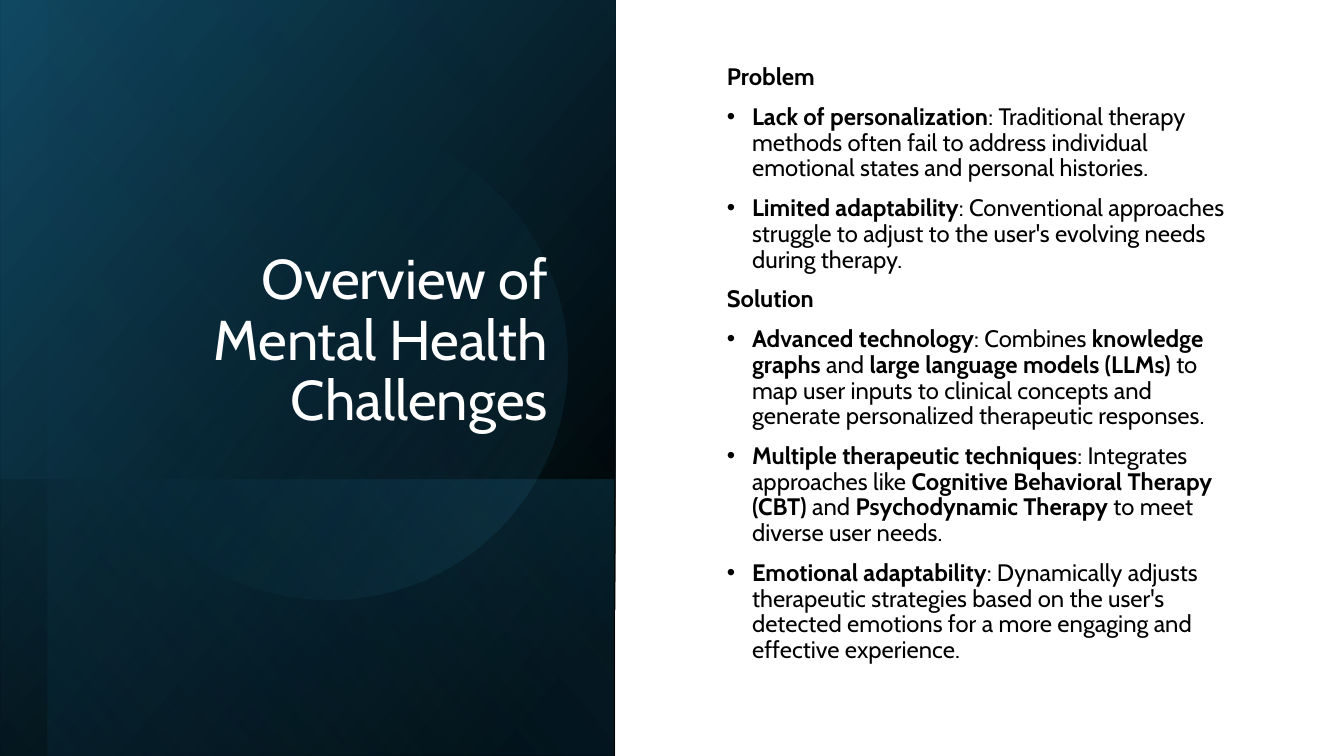
from lxml import etree
from pptx import Presentation
from pptx import util as u
from pptx.dml.color import RGBColor
from pptx.enum import shapes, text
from pptx.oxml import ns, parse_xml

WHITE = RGBColor(0xFF, 0xFF, 0xFF)
BLACK = RGBColor(0x00, 0x00, 0x00)
NAVY = RGBColor(0x10, 0x48, 0x62)
TEAL = RGBColor(0x15, 0x60, 0x82)
SKY = RGBColor(0x46, 0xB1, 0xE1)

SECTIONS = {
    "Problem": [
        "Lack of personalization|: Traditional therapy methods often fail to address "
        "individual emotional states and personal histories.",
        "Limited adaptability|: Conventional approaches struggle to adjust to the "
        "user's evolving needs during therapy.",
    ],
    "Solution": [
        "Advanced technology|: Combines |knowledge graphs| and |large language models (LLMs)"
        "| to map user inputs to clinical concepts and generate personalized "
        "therapeutic responses.",
        "Multiple therapeutic techniques|: Integrates approaches like |Cognitive Behavioral "
        "Therapy (CBT)| and |Psychodynamic Therapy| to meet diverse user needs.",
        "Emotional adaptability|: Dynamically adjusts therapeutic strategies based on the "
        "user's detected emotions for a more engaging and effective experience.",
    ],
}


def px(length):
    """Turn pixels into EMU."""
    return u.Emu(round(length * 914400 / 100.8))


class Deck:
    """Hold the style and the current slide."""

    font = "Cabin"

    def __init__(self):
        """Open a presentation with one title-only slide."""
        self.presentation = Presentation()
        self.presentation.slide_width = px(1344)
        self.presentation.slide_height = px(756)
        self.slide = self.presentation.slides.add_slide(self.presentation.slide_layouts[5])

    def style(self, paragraph, size, color):
        """Set the font and line spacing of a paragraph."""
        paragraph.line_spacing = 0.9
        paragraph.font.name = self.font
        paragraph.font.size = u.Pt(size)
        paragraph.font.color.rgb = color

    def glow(self, kind, box, rotation, flip, angle, stops):
        """Draw a rotated shape filled with a translucent gradient."""
        panel = self.slide.shapes.add_shape(kind, *map(px, box))
        panel.rotation = rotation
        panel.shadow.inherit = False
        panel.line.fill.background()
        properties = panel._element.spPr
        if flip:
            properties.find(ns.qn("a:xfrm")).set("flipH", "1")
        stop_xml = "".join(
            f'<a:gs pos="{place * 1000}"><a:srgbClr val="{color}">'
            f'<a:alpha val="{opacity * 1000}"/></a:srgbClr></a:gs>'
            for place, color, opacity in stops
        )
        gradient = parse_xml(
            f'<a:gradFill {ns.nsdecls("a")} rotWithShape="1"><a:gsLst>{stop_xml}</a:gsLst>'
            f'<a:lin ang="{angle * 60000}" scaled="0"/></a:gradFill>'
        )
        properties.find(ns.qn("a:prstGeom")).addnext(gradient)

    def title(self, wording, box, size):
        """Place the title in front of everything drawn so far."""
        heading = self.slide.shapes.title
        heading.left, heading.top, heading.width, heading.height = map(px, box)
        frame = heading.text_frame
        frame.text = wording
        frame.word_wrap = True
        frame.auto_size = text.MSO_AUTO_SIZE.NONE
        frame.vertical_anchor = text.MSO_ANCHOR.BOTTOM
        frame.paragraphs[0].alignment = text.PP_ALIGN.RIGHT
        self.style(frame.paragraphs[0], size, WHITE)
        self.slide.shapes._spTree.append(heading._element)

    def outline(self, sections, box, size):
        """Write headings, each followed by its bulleted points."""
        frame = self.slide.shapes.add_textbox(*map(px, box)).text_frame
        frame.word_wrap = True
        frame.vertical_anchor = text.MSO_ANCHOR.MIDDLE
        frame.margin_bottom = px(32)
        lines = [
            (line, line != heading)
            for heading, points in sections.items()
            for line in (heading, *points)
        ]
        for index, (line, bulleted) in enumerate(lines):
            paragraph = frame.add_paragraph() if index else frame.paragraphs[0]
            if bulleted:
                self.bullet(paragraph)
            paragraph.space_before = u.Pt(10 if index else 0)
            self.style(paragraph, size, BLACK)
            for part, wording in enumerate(line.split("|")):
                run = paragraph.add_run()
                run.text = wording
                run.font.bold = part % 2 == 0

    def bullet(self, paragraph):
        """Give a paragraph a hanging round bullet."""
        properties = paragraph._p.get_or_add_pPr()
        properties.set("marL", str(u.Inches(0.25)))
        properties.set("indent", str(-u.Inches(0.25)))
        etree.SubElement(properties, ns.qn("a:buFont")).set("typeface", "Arial")
        etree.SubElement(properties, ns.qn("a:buChar")).set("char", "•")


def main():
    """Build the slide and save it."""
    deck = Deck()
    rectangle = shapes.MSO_SHAPE.RECTANGLE
    deck.glow(rectangle, (-70, 71, 756, 615), 90, True, 50, [(8, BLACK, 100), (100, NAVY, 100)])
    deck.glow(rectangle, (168, 310, 276, 615), 90, True, 130, [(2, TEAL, 29), (100, BLACK, 30)])
    deck.glow(rectangle, (-46, 94, 756, 568), 90, True, 130, [(0, BLACK, 0), (99, TEAL, 11)])
    deck.glow(shapes.MSO_SHAPE.OVAL, (91, 124, 476, 476), 101.6, False, 290,
              [(39, TEAL, 0), (100, SKY, 15)])
    deck.title("Overview of Mental Health Challenges", (91, 65, 467, 373), 40)
    deck.outline(SECTIONS, (717, 72, 536, 612), 17)
    deck.presentation.save("out.pptx")


if __name__ == "__main__":
    main()
